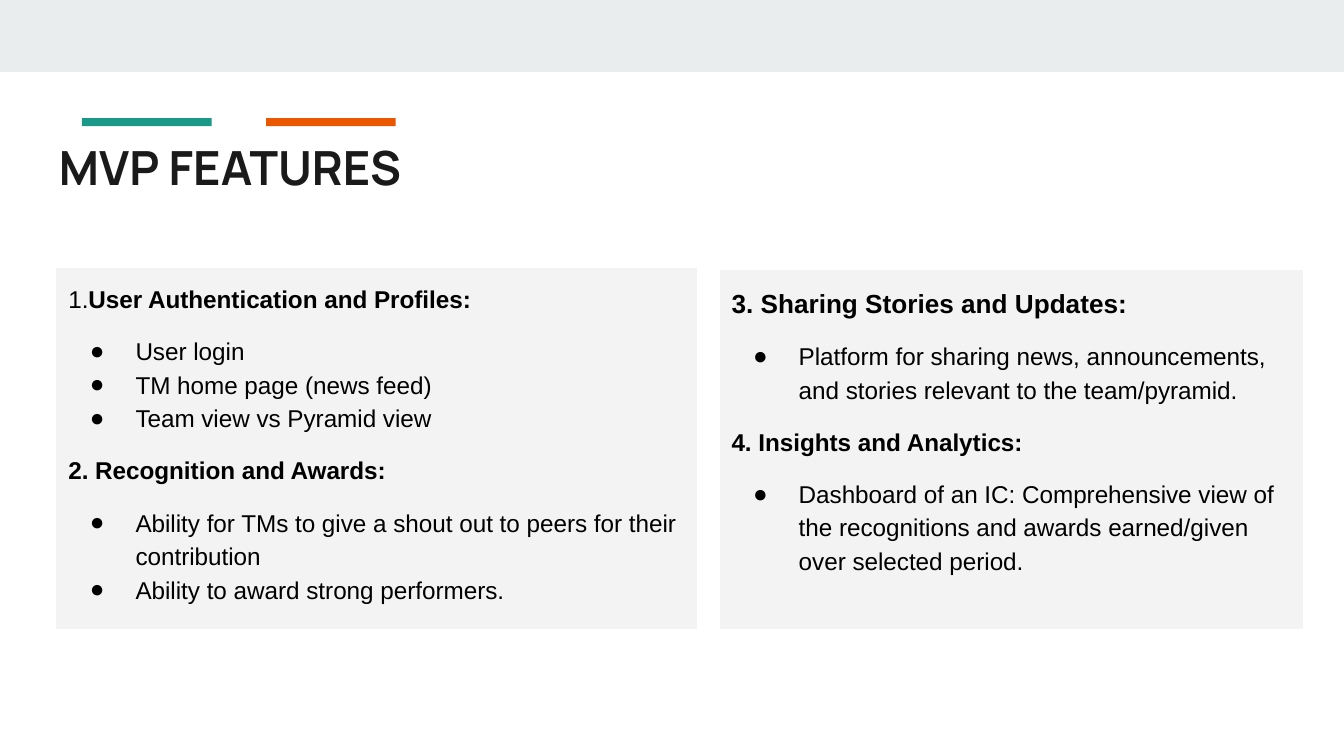
from lxml import etree
from pptx import Presentation, util as u
from pptx.dml.color import RGBColor
from pptx.enum import shapes, text
from pptx.oxml.ns import qn

CELL = u.Inches(0.1)
COLUMNS, ROWS = 100, 56.25
COLORS = {
    "band": "E9EDEE", "teal": "1A9988", "orange": "EB5600",
    "panel": "F3F3F3", "edge": "FFFFFF", "title": "1A1A1A", "body": "000000",
}

LEFT_FEATURES = [
    ([("1.", False), ("User Authentication and Profiles:", True)], 13,
     ["User login", "TM home page (news feed)", "Team view vs Pyramid view"]),
    ([("2. Recognition and Awards:", True)], 13,
     ["Ability for TMs to give a shout out to peers for their contribution",
      "Ability to award strong performers."]),
]
RIGHT_FEATURES = [
    ([("3. Sharing Stories and Updates:", True)], 14,
     ["Platform for sharing news, announcements, and stories relevant to the team/pyramid."]),
    ([("4. Insights and Analytics:", True)], 13,
     ["Dashboard of an IC: Comprehensive view of the recognitions and awards "
      "earned/given over selected period."]),
]


def cells(count):
    """Convert grid cells to a length."""
    return u.Emu(round(count * CELL))


def add_block(slide, box, fill=None, edge=None, weight=1.5):
    """Place a rectangle in a box of grid cells and return its text frame."""
    block = slide.shapes.add_shape(shapes.MSO_SHAPE.RECTANGLE, *map(cells, box))
    block.shadow.inherit = False
    if fill:
        block.fill.solid()
        block.fill.fore_color.rgb = RGBColor.from_string(COLORS[fill])
    else:
        block.fill.background()
    if edge:
        block.line.color.rgb = RGBColor.from_string(COLORS[edge])
        block.line.width = u.Pt(weight)
    else:
        block.line.fill.background()
    frame = block.text_frame
    frame.word_wrap = True
    frame.vertical_anchor = text.MSO_ANCHOR.TOP
    frame.margin_left = frame.margin_right = cells(1)
    frame.margin_top = frame.margin_bottom = cells(1)
    return frame


def write(frame, runs, size=13, font="Arial", color="body", before=0, spacing=1.15, bullet=False):
    """Write one paragraph of (words, bold) runs in the given format."""
    first = not frame.text
    paragraph = frame.paragraphs[0] if first else frame.add_paragraph()
    paragraph.alignment = text.PP_ALIGN.LEFT
    paragraph.line_spacing = spacing
    paragraph.space_before = u.Pt(0 if first else before)
    if bullet:
        properties = paragraph._p.get_or_add_pPr()
        properties.set("marL", str(cells(5)))
        properties.set("indent", str(cells(-3.4)))
        bullet_color = etree.SubElement(properties, qn("a:buClr"))
        etree.SubElement(bullet_color, qn("a:srgbClr"), val=COLORS[color])
        etree.SubElement(properties, qn("a:buFont"), typeface=font)
        etree.SubElement(properties, qn("a:buChar"), char="●")
    for words, bold in runs:
        run = paragraph.add_run()
        run.text = words
        run.font.size = u.Pt(size)
        run.font.name = font
        run.font.bold = bold
        run.font.color.rgb = RGBColor.from_string(COLORS[color])


def add_heading(slide, box):
    """Place the title with its two accent bars above."""
    left, top, _, _ = box
    title = add_block(slide, box, edge="edge")
    write(title, [("MVP FEATURES", True)], size=25.2, font="Manrope", color="title", spacing=1)
    for index, accent in enumerate(("teal", "orange")):
        add_block(slide, (left + 2.7 + 13.7 * index, top - 0.5, 9.65, 0.6), fill=accent)


def add_features(slide, box, features):
    """Place a panel of feature headings with their bullets."""
    panel = add_block(slide, box, fill="panel", edge="edge")
    for heading, size, points in features:
        write(panel, heading, size=size, before=10)
        for index, point in enumerate(points):
            write(panel, [(point, False)], before=0 if index else 10, bullet=True)


def main():
    """Build the slide and save it."""
    deck = Presentation()
    deck.slide_width, deck.slide_height = cells(COLUMNS), cells(ROWS)
    slide = deck.slides.add_slide(deck.slide_layouts[6])
    add_heading(slide, (3.4, 9.3, 84.1, 5.9))
    add_features(slide, (4.1, 19.83, 47.9, 27.1), LEFT_FEATURES)
    add_features(slide, (53.45, 20, 43.6, 26.9), RIGHT_FEATURES)
    add_block(slide, (0, 0, COLUMNS, 5.3), fill="band", edge="band", weight=0.75)
    deck.save("out.pptx")


if __name__ == "__main__":
    main()
